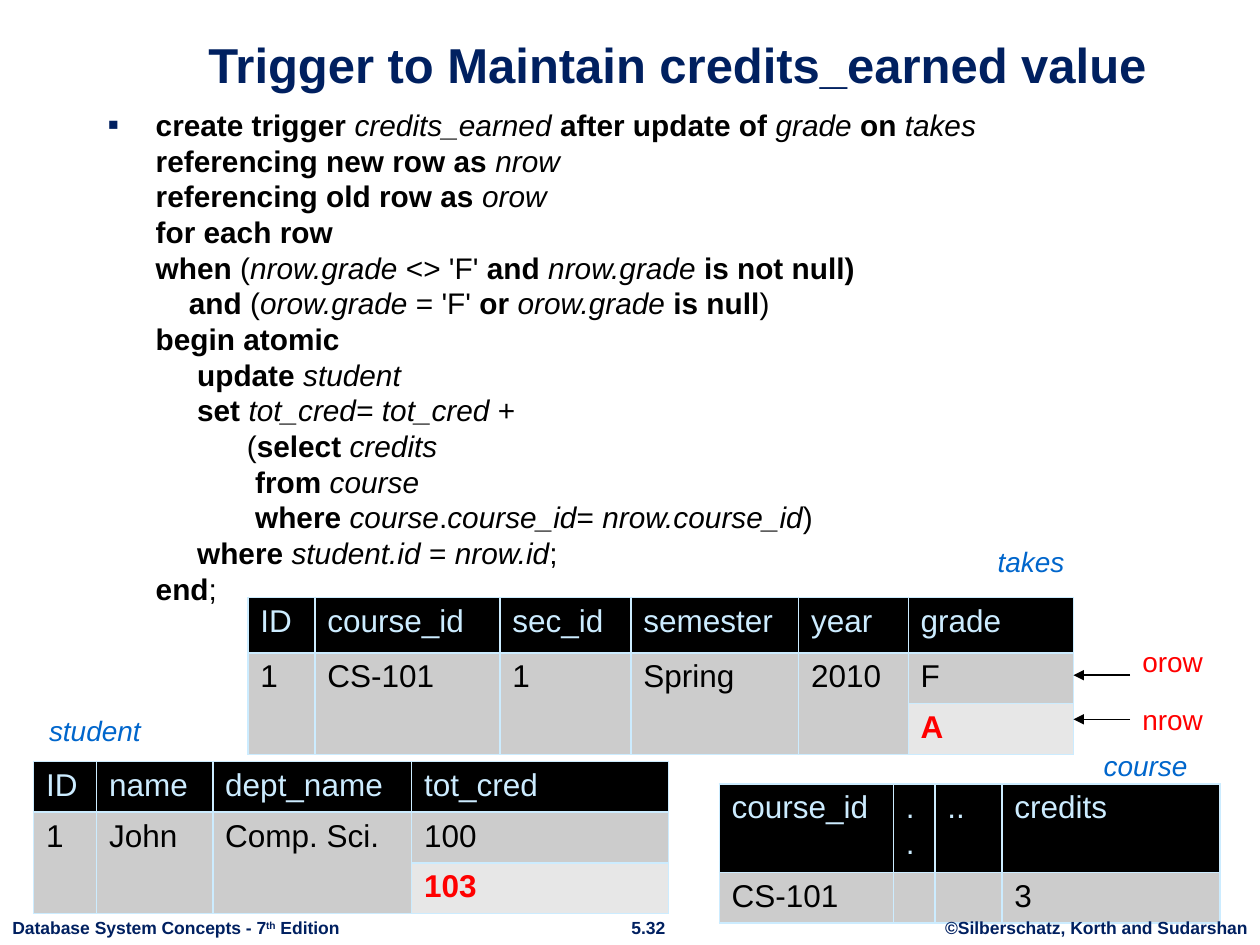
from lxml.etree import SubElement
from pptx import Presentation
from pptx.dml.color import RGBColor
from pptx.enum.shapes import MSO_CONNECTOR as Connector
from pptx.enum.text import MSO_ANCHOR as Anchor, PP_ALIGN as Align
from pptx.oxml.ns import qn
from pptx.util import Cm, Pt

NAVY, BLACK, RED, BLUE, ICE = "002060", "000000", "FF0000", "0066CC", "CCECFF"
GREY, PALE = "CCCCCC", "E7E7E7"
HANG = 0.97
SPACE = 0.167


def color(value):
    return RGBColor.from_string(value)


def solid(parent, value):
    fill = SubElement(parent, qn("a:solidFill"))
    SubElement(fill, qn("a:srgbClr"), val=value)


class TriggerSlide:
    font = "Arial"

    def __init__(self, deck):
        self.slide = deck.slides.add_slide(deck.slide_layouts[5])
        self.shapes = self.slide.shapes

    def run(self, paragraph, text, size, shade, style=""):
        run = paragraph.add_run()
        run.text = text
        run.font.name = self.font
        run.font.size = Pt(size)
        run.font.color.rgb = color(shade)
        run.font.bold = "b" in style
        run.font.italic = "i" in style
        if "^" in style:
            run.font._element.set("baseline", "30000")

    def title(self, text, left, top, width, height):
        heading = self.shapes.title
        heading.left, heading.top = Cm(left), Cm(top)
        heading.width, heading.height = Cm(width), Cm(height)
        heading.text_frame.vertical_anchor = Anchor.BOTTOM
        paragraph = heading.text_frame.paragraphs[0]
        paragraph.alignment = Align.CENTER
        self.run(paragraph, text, 28, NAVY, "b")

    def box(self, left, top, width, height, wrap=True):
        frame = self.shapes.add_textbox(Cm(left), Cm(top), Cm(width), Cm(height)).text_frame
        frame.word_wrap = wrap
        return frame

    def footer(self, left, width, runs, align=Align.CENTER):
        paragraph = self.box(left, 18.36, width, 0.69, wrap=False).paragraphs[0]
        paragraph.alignment = align
        for text, style in runs:
            self.run(paragraph, text, 10, NAVY, style)

    def labels(self, left, top, width, height, texts, shade, style="", gap=0):
        frame = self.box(left, top, width, height)
        for index, text in enumerate(texts):
            paragraph = frame.add_paragraph() if index else frame.paragraphs[0]
            paragraph.space_before = Pt(gap if index else 0)
            self.run(paragraph, text, 16, shade, style)

    def code(self, left, top, width, height, lines):
        frame = self.box(left, top, width, height)
        for index, (indent, runs) in enumerate(lines):
            paragraph = frame.add_paragraph() if index else frame.paragraphs[0]
            paragraph.line_spacing = Pt(20.4)
            paragraph.space_before = Pt(0)
            props = paragraph._p.get_or_add_pPr()
            props.set("marL", str(Cm(HANG + indent * SPACE)))
            if index == 0:
                props.set("indent", str(Cm(-HANG)))
                bullet_color = SubElement(props, qn("a:buClr"))
                SubElement(bullet_color, qn("a:srgbClr"), val=NAVY)
                SubElement(props, qn("a:buSzPct"), val="110000")
                SubElement(props, qn("a:buFont"), typeface=self.font)
                SubElement(props, qn("a:buChar"), char="▪")
            for text, style in runs:
                self.run(paragraph, text, 17, BLACK, style)

    def cell(self, cell, text, fill, shade, style=""):
        cell.margin_left = cell.margin_right = Cm(0.25)
        cell.margin_top = cell.margin_bottom = Cm(0.13)
        if text:
            self.run(cell.text_frame.paragraphs[0], text, 18, shade, style)
        props = cell._tc.get_or_add_tcPr()
        for side in "LRTB":
            solid(SubElement(props, qn(f"a:ln{side}"), w=str(Pt(1))), ICE)
        cell.fill.solid()
        cell.fill.fore_color.rgb = color(fill)

    def table(self, left, top, columns, heights, header, record, update=None):
        grid = self.shapes.add_table(
            len(heights), len(columns), Cm(left), Cm(top), Cm(sum(columns)), Cm(sum(heights))
        ).table
        grid.first_row = grid.horz_banding = False
        for row, height in zip(grid.rows, heights):
            row.height = Cm(height)
        last = len(columns) - 1
        for index, width in enumerate(columns):
            grid.columns[index].width = Cm(width)
            self.cell(grid.cell(0, index), header[index], BLACK, ICE)
            self.cell(grid.cell(1, index), record[index], GREY, BLACK)
            if update and index == last:
                self.cell(grid.cell(2, index), update, PALE, RED, "b")
            elif update:
                self.cell(grid.cell(2, index), "", GREY, BLACK)
                grid.cell(1, index).merge(grid.cell(2, index))

    def arrow(self, start, end, y):
        arrow = self.shapes.add_connector(Connector.STRAIGHT, Cm(start), Cm(y), Cm(end), Cm(y))
        arrow.line.color.rgb = color(BLACK)
        arrow.line.width = Pt(0.75)
        SubElement(arrow.line._get_or_add_ln(), qn("a:tailEnd"), type="triangle")
        SubElement(arrow._element.spPr, qn("a:effectLst"))


TRIGGER = [
    (0, [("create trigger ", "b"), ("credits_earned ", "i"), ("after update of ", "b"),
         ("grade ", "i"), ("on ", "b"), ("takes", "i")]),
    (0, [("referencing new row as ", "b"), ("nrow", "i")]),
    (0, [("referencing old row as ", "b"), ("orow", "i")]),
    (0, [("for each row", "b")]),
    (0, [("when ", "b"), ("(", ""), ("nrow.grade ", "i"), ("<> 'F' ", ""), ("and ", "b"),
         ("nrow.grade ", "i"), ("is not null)", "b")]),
    (4, [("and ", "b"), ("(", ""), ("orow.grade ", "i"), ("= 'F' ", ""), ("or ", "b"),
         ("orow.grade ", "i"), ("is null", "b"), (")", "")]),
    (0, [("begin atomic", "b")]),
    (5, [("update ", "b"), ("student", "i")]),
    (5, [("set ", "b"), ("tot_cred", "i"), ("= ", ""), ("tot_cred ", "i"), ("+", "")]),
    (11, [("(", ""), ("select ", "b"), ("credits", "i")]),
    (12, [("from ", "b"), ("course", "i")]),
    (12, [("where ", "b"), ("course", "i"), (".", ""), ("course_id", "i"), ("= ", ""),
          ("nrow.course_id", "i"), (")", "")]),
    (5, [("where ", "b"), ("student.id ", "i"), ("= ", ""), ("nrow.id", "i"), (";", "")]),
    (0, [("end", "b"), (";", "")]),
]


def main():
    deck = Presentation()
    deck.slide_width, deck.slide_height = Cm(25.4), Cm(19.05)
    page = TriggerSlide(deck)
    page.title("Trigger to Maintain credits_earned value", 2.44, 0.3, 22.43, 1.7)
    page.code(1.92, 2.03, 22.2, 13.61, TRIGGER)
    page.table(5, 12.04, [1.35, 3.73, 2.64, 3.38, 2.21, 3.33], [1.12, 1.02, 1.02],
               ["ID", "course_id", "sec_id", "semester", "year", "grade"],
               ["1", "CS-101", "1", "Spring", "2010", "F"], "A")
    page.table(0.68, 15.35, [1.27, 2.34, 4.01, 5.18], [1.02] * 3,
               ["ID", "name", "dept_name", "tot_cred"],
               ["1", "John", "Comp. Sci.", "100"], "103")
    page.table(14.5, 15.8, [3.51, 0.84, 1.35, 4.39], [1.04, 1.02],
               ["course_id", "..", "..", "credits"], ["CS-101", "", "", "3"])
    for name, left, top, width in (("takes", 19.86, 10.85, 2.13), ("course", 22, 14.96, 2.72),
                                   ("student", 0.74, 14.25, 2.59)):
        page.labels(left, top, width, 0.94, [name], BLUE, "i")
    for y in (13.61, 14.5):
        page.arrow(22.78, 21.64, y)
    page.labels(22.78, 12.87, 2.62, 2.13, ["orow", "nrow"], RED, gap=14)
    page.footer(18.8, 6.6, [("©Silberschatz, Korth and Sudarshan", "b")])
    page.footer(12.45, 1.24, [("5.32", "b")])
    page.footer(0, 7.14, [("Database System Concepts - 7", "b"), ("th", "b^"),
                          (" Edition", "b")], Align.LEFT)
    deck.save("out.pptx")


if __name__ == "__main__":
    main()
